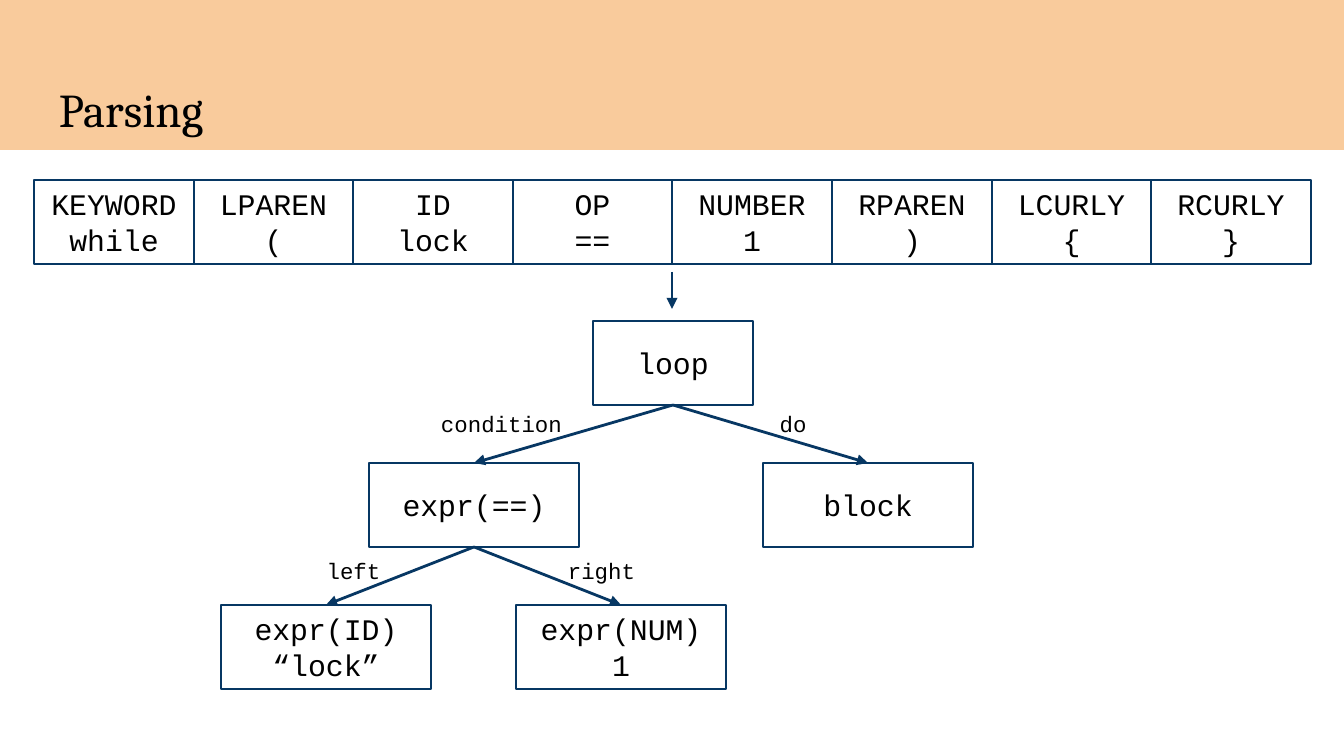
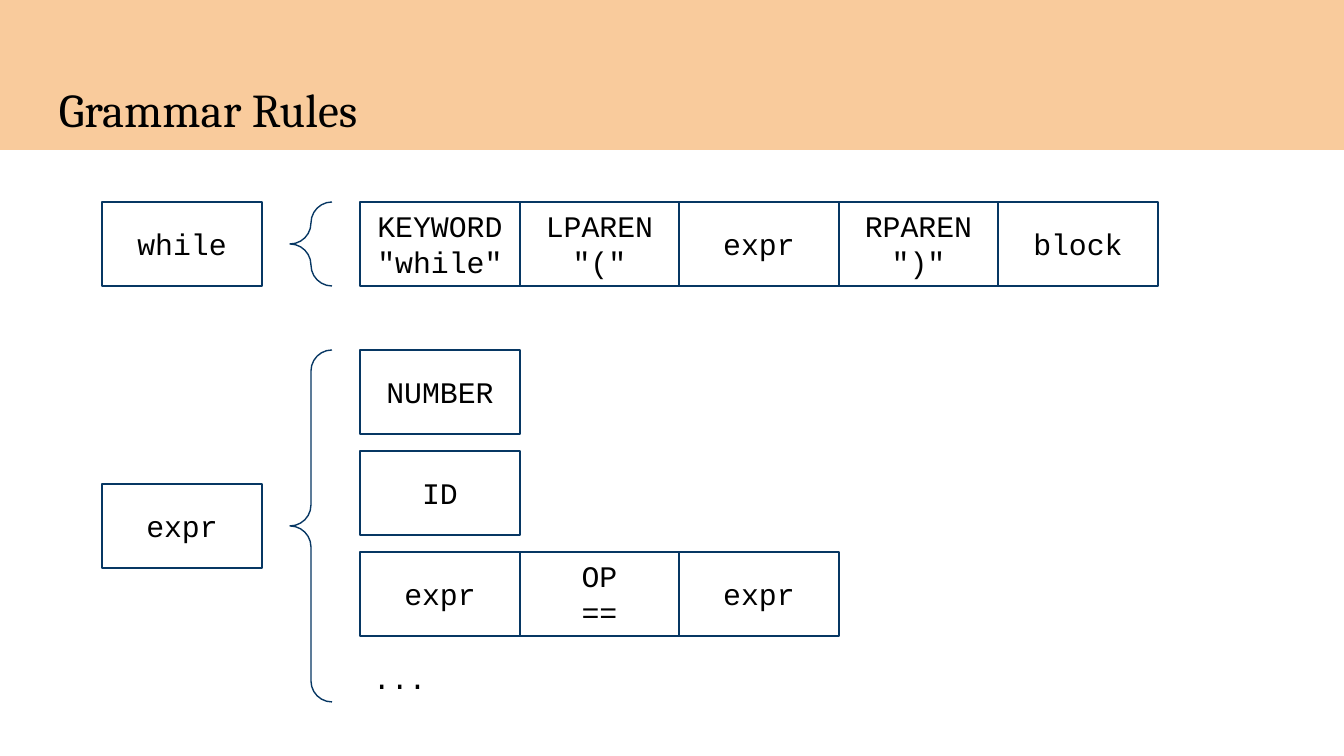
from dataclasses import dataclass
from lxml.etree import SubElement
from pptx import Presentation
from pptx.dml.color import RGBColor as RGB
from pptx.enum.shapes import MSO_CONNECTOR as Conn, MSO_SHAPE as Kind
from pptx.enum.text import MSO_ANCHOR as Anchor, PP_ALIGN as Align
from pptx.oxml.ns import qn
from pptx.shapes.autoshape import Shape
from pptx.shapes.connector import Connector
from pptx.slide import Slide
from pptx.util import Emu, Pt


@dataclass(frozen=True)
class Theme:
    band: RGB = RGB(0xF9, 0xCB, 0x9C)
    line: RGB = RGB(0x07, 0x37, 0x63)
    ink: RGB = RGB(0, 0, 0)
    serif: str = "Cambria"
    mono: str = "Courier New"
    title: float = 25.2
    body: float = 16
    label: float = 12
    thin: float = 0.75
    thick: float = 1.5


@dataclass(frozen=True)
class Box:
    x: int
    y: int
    w: int
    h: int


@dataclass(frozen=True)
class Node:
    text: str
    box: Box


@dataclass(frozen=True)
class Edge:
    start: str
    end: str
    label: str
    box: Box


THEME = Theme()
WIDE, HIGH = 1344, 756
INSET = 13
CELL_H = 84
FIVE_W = 798  # width of five joined cells


def px(n: int) -> Emu:
    return Emu(round(n * 914400 / 134.4))


def frame(box: Box) -> tuple[Emu, Emu, Emu, Emu]:
    return px(box.x), px(box.y), px(box.w), px(box.h)


def style(item: object, form: dict[str, object]) -> None:
    for name, value in form.items():
        setattr(item, name, value)


# Text
def write(shape: Shape, text: str, size: float, font: str = THEME.mono,
          align: Align = Align.CENTER, anchor: Anchor = Anchor.MIDDLE) -> None:
    body = shape.text_frame
    sides = ("left", "top", "right", "bottom")
    style(body, {f"margin_{side}": px(INSET) for side in sides})
    style(body, {"word_wrap": True, "vertical_anchor": anchor, "text": text})
    for para in body.paragraphs:
        para.alignment = align
        for run in para.runs:
            style(run.font, {"name": font, "size": Pt(size)})
            run.font.color.rgb = THEME.ink


def add_text(slide: Slide, box: Box, text: str, size: float, **form: object) -> None:
    write(slide.shapes.add_textbox(*frame(box)), text, size, **form)


# Shapes
def add_form(slide: Slide, kind: Kind, box: Box) -> Shape:
    shape = slide.shapes.add_shape(kind, *frame(box))
    shape.shadow.inherit = False
    shape.fill.background()
    shape.line.color.rgb = THEME.line
    shape.line.width = Pt(THEME.thin)
    return shape


def add_cell(slide: Slide, box: Box, text: str) -> Shape:
    cell = add_form(slide, Kind.RECTANGLE, box)
    write(cell, text, THEME.body)
    return cell


def add_row(slide: Slide, x: int, y: int, texts: list[str]) -> None:
    cuts = [x + round(i * FIVE_W / 5) for i in range(len(texts) + 1)]
    for left, right, text in zip(cuts, cuts[1:], texts):
        add_cell(slide, Box(left, y, right - left, CELL_H), text)


def add_brace(slide: Slide, y: int, h: int) -> None:
    brace = add_form(slide, Kind.LEFT_BRACE, Box(290, y, 42, h))
    for i in range(2):
        brace.adjustments[i] = 0.5


def add_arrow(slide: Slide, x1: int, y1: int, x2: int, y2: int) -> Connector:
    arrow = slide.shapes.add_connector(Conn.STRAIGHT, px(x1), px(y1), px(x2), px(y2))
    arrow.line.color.rgb = THEME.line
    arrow.line.width = Pt(THEME.thick)
    SubElement(arrow.line._get_or_add_ln(), qn("a:tailEnd"), type="triangle")
    SubElement(arrow._element.spPr, qn("a:effectLst"))
    return arrow


# Shared slide start: band and title
def add_page(deck: Presentation, title: str) -> Slide:
    slide = deck.slides.add_slide(deck.slide_layouts[6])
    band = add_form(slide, Kind.RECTANGLE, Box(0, 0, WIDE, 150))
    band.fill.solid()
    band.fill.fore_color.rgb = THEME.band
    band.line.fill.background()
    add_text(slide, Box(46, 66, 1252, 84), title, THEME.title, font=THEME.serif,
             align=Align.LEFT, anchor=Anchor.BOTTOM)
    return slide


TOKENS = ["KEYWORD\nwhile", "LPAREN\n(", "ID\nlock", "OP\n==",
          "NUMBER\n1", "RPAREN\n)", "LCURLY\n{", "RCURLY\n}"]
NODES = {
    "loop": Node("loop", Box(593, 321, 160, CELL_H)),
    "test": Node("expr(==)", Box(369, 463, 210, CELL_H)),
    "block": Node("block", Box(763, 463, 210, CELL_H)),
    "id": Node("expr(ID)\n“lock”", Box(221, 605, 210, CELL_H)),
    "num": Node("expr(NUM)\n1", Box(516, 605, 210, CELL_H)),
}
EDGES = [
    Edge("loop", "test", "condition", Box(416, 401, 171, 46)),
    Edge("loop", "block", "do", Box(750, 401, 86, 46)),
    Edge("test", "id", "left", Box(298, 548, 111, 46)),
    Edge("test", "num", "right", Box(546, 548, 111, 46)),
]


def add_parse(deck: Presentation) -> None:
    slide = add_page(deck, "Parsing")
    add_row(slide, 34, 180, TOKENS)
    add_arrow(slide, 672, 272, 672, 309)
    # Syntax tree
    cells = {key: add_cell(slide, node.box, node.text) for key, node in NODES.items()}
    for edge in EDGES:
        arrow = add_arrow(slide, 0, 0, 0, 0)
        arrow.begin_connect(cells[edge.start], 2)
        arrow.end_connect(cells[edge.end], 0)
        add_text(slide, edge.box, edge.label, THEME.label)


RULE = ["KEYWORD\n\"while\"", "LPAREN\n\"(\"", "expr", "RPAREN\n\")\"", "block"]
FORMS = [["NUMBER"], ["ID"], ["expr", "OP\n==", "expr"]]


def add_rules(deck: Presentation) -> None:
    slide = add_page(deck, "Grammar Rules")
    name_x, form_x, top, step = 102, 360, 350, 101
    # Rule for while
    add_row(slide, name_x, 202, ["while"])
    add_brace(slide, 202, CELL_H)
    add_row(slide, form_x, 202, RULE)
    # Rule for expr
    add_row(slide, name_x, 484, ["expr"])
    add_brace(slide, top, 352)
    for i, form in enumerate(FORMS):
        add_row(slide, form_x, top + i * step, form)
    add_text(slide, Box(form_x, top + len(FORMS) * step, 160, 49), "...",
             THEME.body, align=Align.LEFT)


def main() -> None:
    deck = Presentation()
    style(deck, {"slide_width": px(WIDE), "slide_height": px(HIGH)})
    add_parse(deck)
    add_rules(deck)
    deck.save("out.pptx")


if __name__ == "__main__":
    main()
